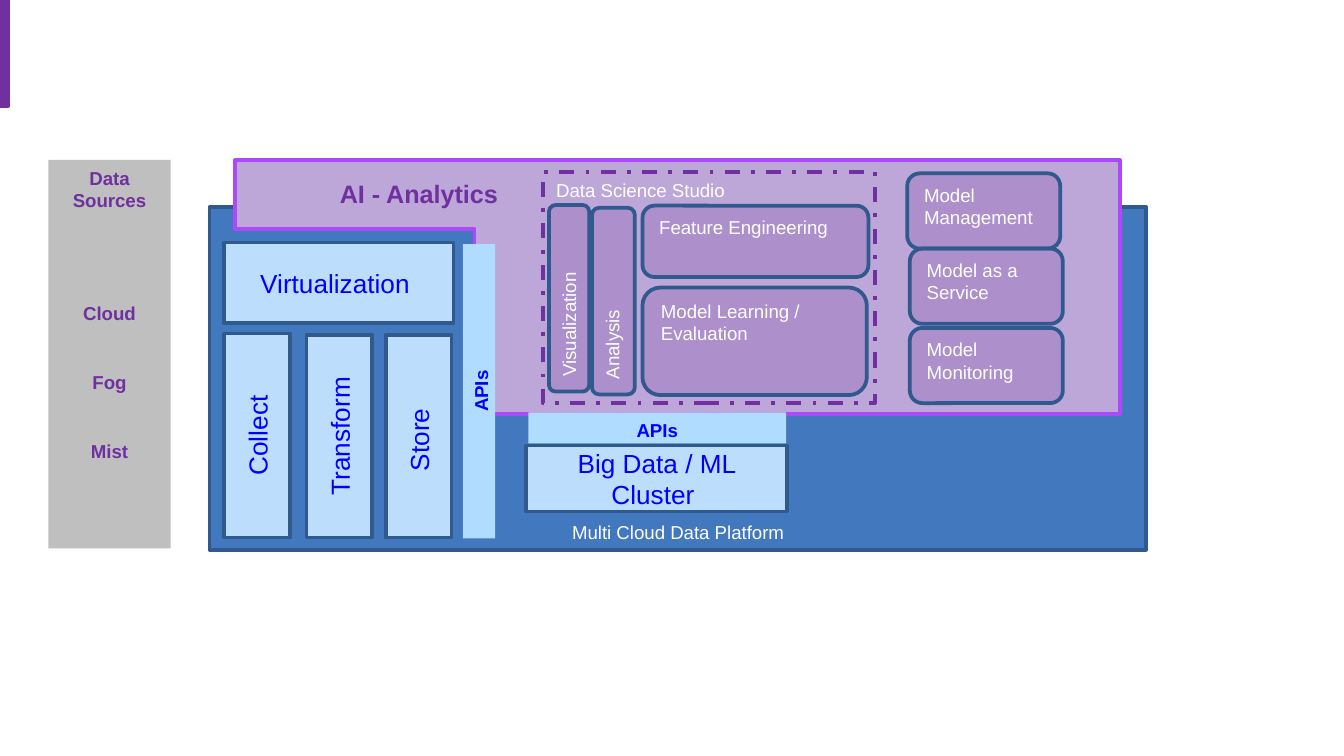
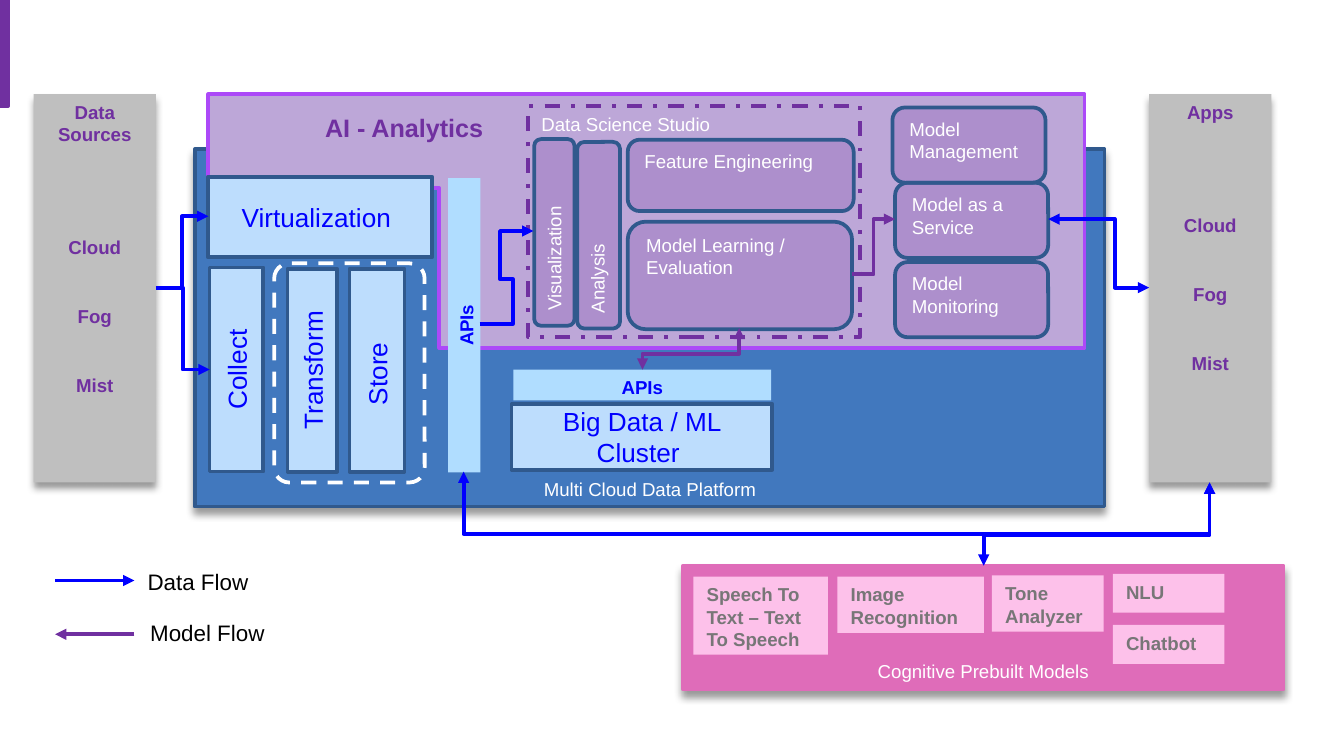
from pptx import Presentation
from pptx.dml.color import RGBColor
from pptx.enum import dml, shapes, text
from pptx.oxml import parse_xml
from pptx.oxml.ns import nsdecls, qn
from pptx.util import Pt

FONT = "Arial"
NAVY, BLUE, PURPLE, WHITE = "30598D", "0000FF", "7030A0", "FFFFFF"
PINK, BLACK = "DF6CB9", "000000"

BASE = dict(form="RECTANGLE", fill=None, alpha=None, line=None, dash=None,
            size=10, color=WHITE, bold=False, align="LEFT", anchor="TOP",
            vert=None, wrap=True)
STYLES = {
    "bar": dict(fill=PURPLE, line=PURPLE),
    "base": dict(fill="4178BE", line=NAVY, align="CENTER", anchor="BOTTOM"),
    "step": dict(fill="BDDDFD", line=NAVY, size=14, color=BLUE,
                 align="CENTER", anchor="MIDDLE", vert="vert270"),
    "zone": dict(form="CORNER", fill="BDA7D8", line="AC49F8"),
    "head": dict(size=13.5, color=PURPLE, bold=True, wrap=False),
    "tool": dict(form="ROUNDED_RECTANGLE", fill=PURPLE, alpha=20, line=NAVY),
    "side": dict(fill="BFBFBF", color=PURPLE, bold=True, align="CENTER"),
    "frame": dict(line=PURPLE, dash="DASH_DOT"),
    "api": dict(fill="B0DDFF", color=BLUE, bold=True, align="CENTER"),
    "group": dict(form="ROUNDED_RECTANGLE", line=WHITE, dash="DASH"),
    "panel": dict(fill=PINK, line=PINK, align="CENTER", anchor="BOTTOM"),
    "chip": dict(fill="FDC1EA", color="777677", bold=True),
    "key": dict(size=12, color=BLACK, wrap=False),
}

PLACES = ["Cloud", "Fog", "Mist"]
GAPS = [0, 48.5, 25, 25]

PARTS = [
    ("platform", "base", (112.3, 110.9, 501.8, 183.6), 0, "Multi Cloud Data Platform"),
    ("collect", "step", (120.2, 178.6, 35.3, 109.4), 0, "Collect"),
    ("transform", "step", (164.2, 179.3, 35.3, 108.7), 0, "Transform"),
    ("store", "step", (206.6, 179.3, 35.3, 108.7), 0, "Store "),
    ("zone", "zone", (126, 85.7, 473.8, 136.1), 180, ""),
    ("head", "head", (175, 92.2, 100, 23.8), 0, "AI - Analytics"),
    ("cluster", "step", (334.1, 186.5, 35.3, 139.7), 90, "Big Data / ML Cluster "),
    ("feature", "tool", (344.2, 110.2, 121, 38.2), 0, "Feature Engineering"),
    ("visual", "tool", (254.9, 149, 100, 21.6), 270, "Visualization"),
    ("learn", "tool", (344.2, 154.1, 120.2, 57.6), 0, "Model Learning / Evaluation"),
    ("virtual", "step", (159.8, 90, 43.2, 123.1), 90, "Virtualization "),
    ("sources", "side", (25.9, 85.7, 65.5, 208.1), 0, ["Data Sources"] + PLACES),
    ("studio", "frame", (290.9, 92.2, 177.8, 123.8), 0, "Data Science Studio"),
    ("manage", "tool", (486, 92.9, 82, 40.3), 0, "Model Management"),
    ("monitor", "tool", (487.4, 175.7, 82, 40.3), 0, "Model Monitoring"),
    ("service", "tool", (487.4, 133.2, 82, 40.3), 0, "Model as a Service"),
    ("analysis", "tool", (278.6, 149.8, 100, 23), 270, "Analysis"),
    ("flat", "api", (283, 221, 138.2, 16.6), 0, "APIs"),
    ("tall", "api", (177.8, 200.9, 157.7, 17.3), 270, "APIs"),
]
SHIFT = (-7.9, -35.3)
MOVED = {
    "platform": (104.4, 79.9, 487.4, 191.5),
    "collect": (112.3, 143.3, 28.8, 109.4),
    "transform": (154.1, 144, 26.6, 108.7),
    "store": (187.2, 144, 29.5, 108.7),
    "zone": (111.6, 50.4, 469.4, 136.1),
    "cluster": (326.2, 164.2, 35.3, 139.7),
    "virtual": (149.8, 56.2, 43.2, 120.2),
    "flat": (275, 198, 138.2, 16.6),
}
SHADED = {"platform", "sources"}

EXTRAS = [
    ("side", (615.6, 50.4, 65.5, 208.1), ["Apps"] + PLACES, True),
    ("panel", (365.8, 303.1, 321.8, 66.2), "Cognitive Prebuilt Models", True),
    ("chip", (371.5, 308.9, 72, 41.8), "Speech To Text – Text To Speech", False),
    ("chip", (448.6, 308.9, 78.5, 30.2), "Image Recognition", False),
    ("chip", (531.4, 308.2, 59.8, 30.2), "Tone Analyzer", False),
    ("chip", (596.2, 307.4, 59.8, 20.9), "NLU", False),
    ("chip", (596.2, 334.8, 59.8, 20.9), "Chatbot", False),
    ("key", (72, 301, 69.1, 21.6), "Data Flow", False),
    ("key", (73.4, 328.3, 76.3, 21.6), "Model Flow", False),
]
GROUP = (146.9, 141.1, 80.6, 117.4)

KEYS = [
    ((29.5, 311), (72, 311), BLUE),
    ((72, 339.8), (29.5, 339.8), PURPLE),
]
ELBOWS = [
    ((83.5, 154.1), (111.6, 115.9), BLUE, False, False, [0.5]),
    ((83.5, 154.1), (112.3, 198), BLUE, False, False, [0.5]),
    ((257, 173.5), (285.8, 123.8), BLUE, False, False, [0.62, 0.48, 0.38]),
    ((396, 175.7), (344.2, 198), PURPLE, True, True, [0.62]),
    ((456.5, 146.9), (479.5, 117.4), PURPLE, False, False, [0.5]),
    ((615.6, 154.1), (561.6, 117.4), BLUE, True, False, [0.34]),
    ((648, 258.5), (248.4, 252.7), BLUE, True, True, [-4.77]),
    ((648, 258.5), (527, 303.1), BLUE, True, True, [0.63]),
]


def rgb(code):
    return RGBColor.from_string(code)


def write(shape, lines, st):
    frame = shape.text_frame
    frame.word_wrap = st["wrap"]
    frame.vertical_anchor = getattr(text.MSO_ANCHOR, st["anchor"])
    if st["vert"]:
        frame._txBody.bodyPr.set("vert", st["vert"])
    lines = [lines] if isinstance(lines, str) else lines
    for i, (line, gap) in enumerate(zip(lines, GAPS)):
        para = frame.paragraphs[0] if i == 0 else frame.add_paragraph()
        para.alignment = getattr(text.PP_ALIGN, st["align"])
        para.space_before = Pt(gap)
        run = para.add_run()
        run.text = line
        run.font.name = FONT
        run.font.size = Pt(st["size"])
        run.font.bold = st["bold"]
        run.font.color.rgb = rgb(st["color"])


def paint(shape, st):
    if st["fill"]:
        shape.fill.solid()
        shape.fill.fore_color.rgb = rgb(st["fill"])
        if st["alpha"]:
            tint = shape._element.spPr.find(qn("a:solidFill"))[0]
            tint.append(parse_xml(f'<a:alpha {nsdecls("a")} val="{st["alpha"] * 1000}"/>'))
    else:
        shape.fill.background()
    if st["line"]:
        shape.line.color.rgb = rgb(st["line"])
        shape.line.width = Pt(2)
        if st["dash"]:
            shape.line.dash_style = getattr(dml.MSO_LINE, st["dash"])
    else:
        shape.line.fill.background()


def shade(shape):
    shape._element.spPr.find(qn("a:effectLst")).append(parse_xml(
        f'<a:outerShdw {nsdecls("a")} blurRad="{Pt(4)}" dist="{Pt(3)}" dir="5400000" '
        f'rotWithShape="0"><a:srgbClr val="{BLACK}"><a:alpha val="40000"/>'
        '</a:srgbClr></a:outerShdw>'))


def put(slide, style, box, words="", turn=0, shadow=False):
    st = {**BASE, **STYLES[style]}
    place = [Pt(v) for v in box]
    if st["fill"] or st["line"]:
        form = getattr(shapes.MSO_SHAPE, st["form"])
        shape = slide.shapes.add_shape(form, *place)
        shape.shadow.inherit = False
        paint(shape, st)
    else:
        shape = slide.shapes.add_textbox(*place)
    shape.rotation = turn
    if shadow:
        shade(shape)
    if words:
        write(shape, words, st)
    return shape


def link(slide, kind, start, end, color, both=False):
    line = slide.shapes.add_connector(kind, *[Pt(v) for v in start + end])
    line.line.color.rgb = rgb(color)
    line.line.width = Pt(2)
    ends = ["headEnd", "tailEnd"] if both else ["tailEnd"]
    for tag in ends:
        line.line._get_or_add_ln().append(
            parse_xml(f'<a:{tag} {nsdecls("a")} type="triangle"/>'))
    line._element.spPr.append(parse_xml(f'<a:effectLst {nsdecls("a")}/>'))
    return line


def bend(slide, start, end, color, both, upright, turns):
    if upright:
        mid = [(a + b) / 2 for a, b in zip(start, end)]
        dx, dy = [(b - a) / 2 for a, b in zip(start, end)]
        start = (mid[0] - dy, mid[1] + dx)
        end = (mid[0] + dy, mid[1] - dx)
    line = link(slide, shapes.MSO_CONNECTOR.ELBOW, start, end, color, both)
    props = line._element.spPr
    if upright:
        props.find(qn("a:xfrm")).set("rot", "5400000")
    geom = props.find(qn("a:prstGeom"))
    geom.set("prst", f"bentConnector{len(turns) + 2}")
    guides = geom.find(qn("a:avLst"))
    for i, turn in enumerate(turns, 1):
        guides.append(parse_xml(
            f'<a:gd {nsdecls("a")} name="adj{i}" fmla="val {round(turn * 100000)}"/>'))


def stack(deck, shift, moved, shaded, notch):
    slide = deck.slides.add_slide(deck.slide_layouts[6])
    put(slide, "bar", (0, 0, 4.3, 56.9))
    for name, style, (x, y, w, h), turn, words in PARTS:
        box = moved.get(name, (x + shift[0], y + shift[1], w, h))
        shape = put(slide, style, box, words, turn, name in shaded)
        if style == "zone":
            shape.adjustments[0] = notch
            shape.adjustments[1] = 2.54
    return slide


def flows(slide):
    for style, box, words, shadow in EXTRAS:
        put(slide, style, box, words, shadow=shadow)
    put(slide, "group", GROUP).adjustments[0] = 0.1
    for start, end, color in KEYS:
        link(slide, shapes.MSO_CONNECTOR.STRAIGHT, start, end, color)
    for elbow in ELBOWS:
        bend(slide, *elbow)


def main():
    deck = Presentation()
    deck.slide_width, deck.slide_height = Pt(720), Pt(405)
    stack(deck, (0, 0), {}, set(), 0.27)
    flows(stack(deck, SHIFT, MOVED, SHADED, 0.37))
    deck.save("out.pptx")


if __name__ == "__main__":
    main()
